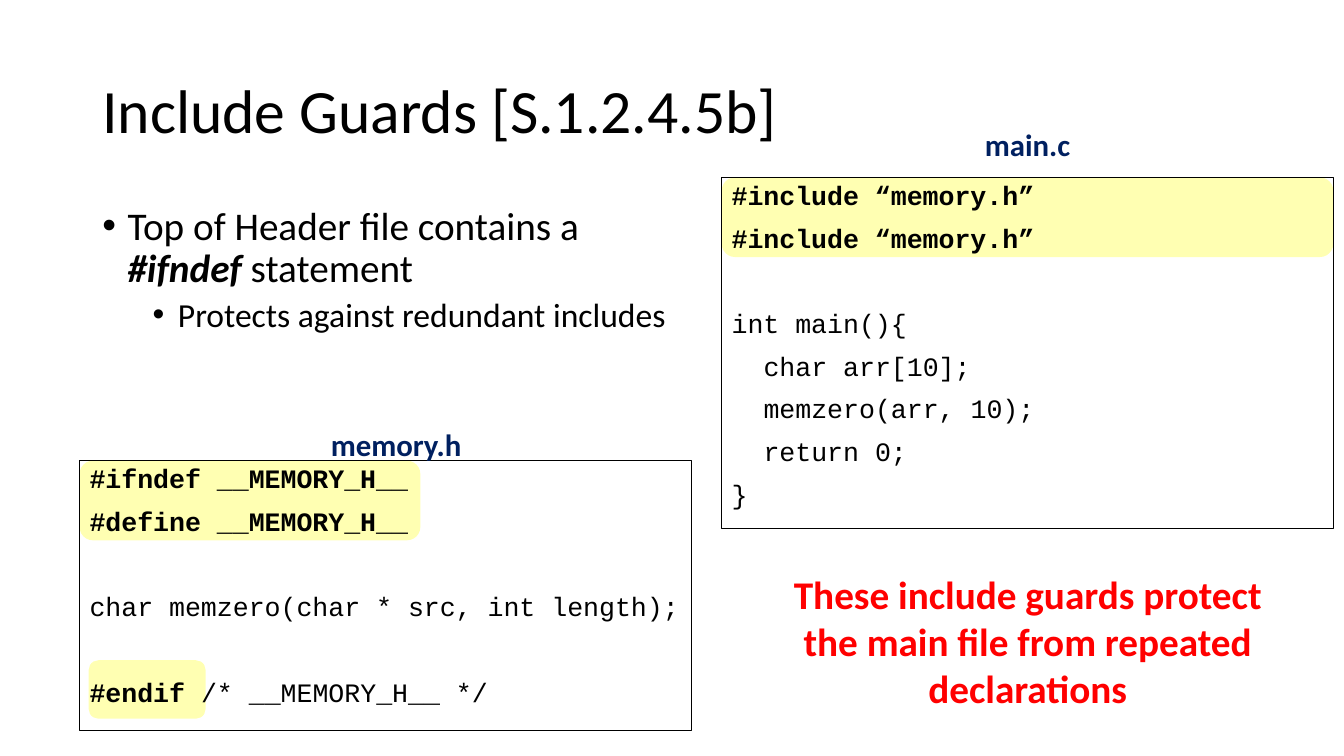
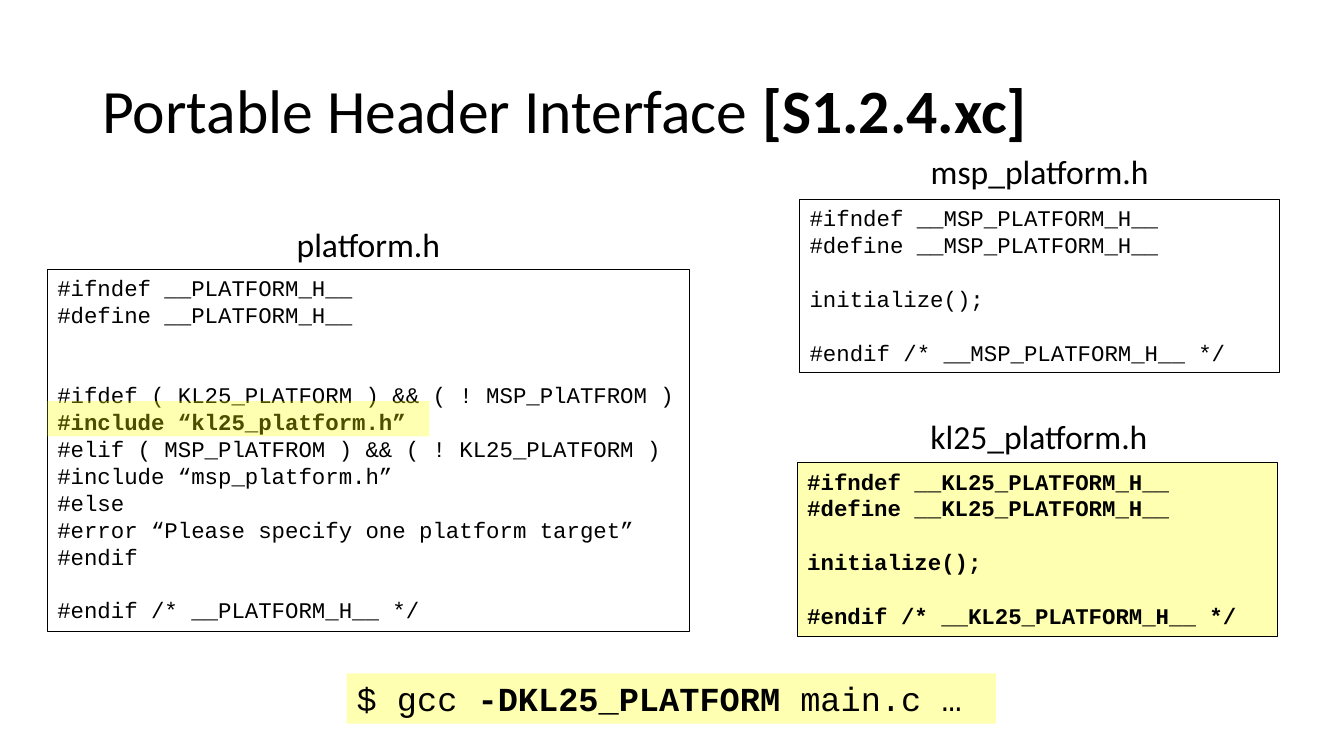
from dataclasses import dataclass

from lxml.etree import SubElement
from pptx import Presentation
from pptx.dml.color import RGBColor
from pptx.enum.shapes import MSO_SHAPE
from pptx.enum.text import MSO_ANCHOR, PP_ALIGN
from pptx.oxml.ns import qn
from pptx.util import Inches, Pt


@dataclass(frozen=True)
class Theme:
    ink: RGBColor = RGBColor(0, 0, 0)
    paper: RGBColor = RGBColor(255, 255, 255)
    navy: RGBColor = RGBColor(0x00, 0x20, 0x60)
    alert: RGBColor = RGBColor(255, 0, 0)
    marker: RGBColor = RGBColor(255, 255, 0)
    marker_opacity: int = 30
    text_font: str = "Calibri"
    code_font: str = "Courier New"
    title_size: int = 44
    body_sizes: tuple = (28, 24)
    body_gaps: tuple = (10, 5)
    callout_size: int = 28
    command_size: int = 24
    tight: float = 0.9
    outline: float = 0.75
    code_pitch: float = 1.2  # line height in ems
    code_advance: float = 0.6  # character width in ems


@dataclass(frozen=True)
class CodeStyle:
    size: int
    label_size: int
    label_color: RGBColor
    label_bold: bool = False
    spacing: float = 1.0
    gap: float = 0


THEME = Theme()
SPACIOUS = CodeStyle(19, 22, THEME.navy, True, THEME.tight, 10)
COMPACT = CodeStyle(16, 24, THEME.ink)


def bold(text):
    return text, "b"


class Deck:
    """Slides on a grid of 40 columns by 22.5 rows."""

    COLUMNS, ROWS = 40, 22.5

    def __init__(self, theme):
        self.theme = theme
        self.prs = Presentation()
        self.prs.slide_width, self.prs.slide_height = Inches(13.33), Inches(7.5)
        self.slide = None

    def frame(self, left, top, width, height):
        column = self.prs.slide_width / self.COLUMNS
        row = self.prs.slide_height / self.ROWS
        return (round(left * column), round(top * row),
                round(width * column), round(height * row))

    def new_slide(self, *title):
        self.slide = self.prs.slides.add_slide(self.prs.slide_layouts[6])
        heading = self.text_frame((2.75, 1.2, 34.5, 4.35))
        heading.vertical_anchor = MSO_ANCHOR.MIDDLE
        heading.paragraphs[0].line_spacing = self.theme.tight
        self.add_runs(heading.paragraphs[0], title, self.theme.title_size)

    def text_frame(self, place, wrap=True):
        text_frame = self.slide.shapes.add_textbox(*self.frame(*place)).text_frame
        text_frame.word_wrap = wrap
        return text_frame

    def add_runs(self, paragraph, parts, size, font=None, color=None):
        """Parts are plain strings or (text, flags) pairs; flags are b and i."""
        for part in parts:
            text, flags = (part, "") if isinstance(part, str) else part
            run = paragraph.add_run()
            run.text = text
            run.font.size = Pt(size)
            run.font.name = font or self.theme.text_font
            run.font.color.rgb = color or self.theme.ink
            run.font.bold = "b" in flags
            run.font.italic = "i" in flags

    def panel(self, place, fill=None, outlined=False, rounded=False):
        preset = MSO_SHAPE.ROUNDED_RECTANGLE if rounded else MSO_SHAPE.RECTANGLE
        panel = self.slide.shapes.add_shape(preset, *self.frame(*place))
        panel.shadow.inherit = False
        if fill is None:
            panel.fill.background()
        else:
            panel.fill.solid()
            panel.fill.fore_color.rgb = fill
            if fill == self.theme.marker:
                tint = panel.fill._xPr.find(qn("a:solidFill"))[0]
                SubElement(tint, qn("a:alpha"),
                           val=str(self.theme.marker_opacity * 1000))
        if outlined:
            panel.line.color.rgb = self.theme.ink
            panel.line.width = Pt(self.theme.outline)
        else:
            panel.line.fill.background()
        panel.text_frame.word_wrap = True
        panel.text_frame.vertical_anchor = MSO_ANCHOR.TOP
        return panel

    def highlight(self, place, rounded=False):
        self.panel(place, self.theme.marker, rounded=rounded)

    def code(self, label, place, lines, style, fill=None, shift=(0, 0)):
        """A labelled listing; None in lines leaves one line free."""
        listing = self.panel(place, fill, outlined=True).text_frame
        line_step = style.size * self.theme.code_pitch * style.spacing + style.gap
        paragraph, skipped = listing.paragraphs[0], 0
        for number, line in enumerate(lines):
            if line is None:
                skipped += 1
                continue
            if number:
                paragraph = listing.add_paragraph()
            paragraph.alignment = PP_ALIGN.LEFT
            paragraph.line_spacing = style.spacing
            paragraph.space_before = Pt(style.gap + skipped * line_step)
            skipped = 0
            parts = line if isinstance(line, list) else [line]
            if isinstance(parts[0], str):
                code = parts[0].lstrip()
                depth = len(parts[0]) - len(code)
                parts = [code, *parts[1:]]
                self.indent(paragraph, Pt(depth * style.size * self.theme.code_advance))
            self.add_runs(paragraph, parts, style.size, self.theme.code_font)

        # File name, centred above the listing
        left, top, width, _ = place
        height = style.label_size / 16
        name = self.text_frame((left + shift[0], top - height + shift[1],
                                width, height)).paragraphs[0]
        name.alignment = PP_ALIGN.CENTER
        self.add_runs(name, [(label, "b" if style.label_bold else "")],
                      style.label_size, color=style.label_color)

    @staticmethod
    def indent(paragraph, margin, hanging=0):
        properties = paragraph._p.get_or_add_pPr()
        properties.set("marL", str(int(margin)))
        properties.set("indent", str(-int(hanging)))
        return properties

    def bullets(self, place, items):
        body = self.text_frame(place)
        for number, (level, parts) in enumerate(items):
            paragraph = body.add_paragraph() if number else body.paragraphs[0]
            paragraph.line_spacing = self.theme.tight
            paragraph.space_before = Pt(self.theme.body_gaps[level])
            properties = self.indent(paragraph, Inches(0.25 + 0.5 * level), Inches(0.25))
            SubElement(properties, qn("a:buFont"), typeface="Arial")
            SubElement(properties, qn("a:buChar"), char="•")
            self.add_runs(paragraph, parts, self.theme.body_sizes[level])

    def callout(self, place, message):
        paragraph = self.text_frame(place).paragraphs[0]
        paragraph.alignment = PP_ALIGN.CENTER
        self.add_runs(paragraph, [bold(message)], self.theme.callout_size,
                      color=self.theme.alert)

    def command(self, place, *parts):
        paragraph = self.panel(place, self.theme.marker).text_frame.paragraphs[0]
        paragraph.alignment = PP_ALIGN.LEFT
        self.add_runs(paragraph, parts, self.theme.command_size, self.theme.code_font)


def guarded(macro, content, style=str):
    """A header file wrapped in its include guard."""
    return [style(f"#ifndef {macro}"), style(f"#define {macro}"), None,
            *content, None, style(f"#endif /* {macro} */")]


def include_guards(deck):
    deck.new_slide("Include Guards [S.1.2.4.5b]")
    deck.bullets((2.75, 6, 17.82, 6.18), [
        (0, ["Top of Header file contains a ", ("#ifndef ", "bi"), "statement"]),
        (1, ["Protects against redundant includes"]),
    ])

    # Highlights lie behind the unfilled listings
    header_left, header_top, main_left, main_top = 2.37, 13.71, 21.48, 5.28
    listing_width, two_lines = 18.2, 2.37
    deck.highlight((header_left, header_top, 10.14, two_lines), rounded=True)
    deck.highlight((2.64, 19.65, 3.48, 1.74), rounded=True)
    deck.highlight((main_left, main_top, listing_width, two_lines), rounded=True)

    deck.code("memory.h", (header_left, header_top, listing_width, 8.04), [
        bold("#ifndef __MEMORY_H__"),
        bold("#define __MEMORY_H__"),
        None,
        "char memzero(char * src, int length);",
        None,
        [bold("#endif "), "/* __MEMORY_H__ */"],
    ], SPACIOUS, shift=(0.32, 0.2))
    deck.code("main.c", (main_left, main_top, listing_width, 10.44), [
        *[bold("#include “memory.h”")] * 2,
        None,
        "int main(){",
        "  char arr[10];",
        "  memzero(arr, 10);",
        "  return 0;",
        "}",
    ], SPACIOUS, shift=(0, -0.3))
    deck.callout((22.62, 16.83, 15.93, 4.53),
                 "These include guards protect the main file from repeated declarations")


def portable_header(deck):
    deck.new_slide("Portable Header Interface ", bold("[S1.2.4.xc]"))
    paper, marker = deck.theme.paper, deck.theme.marker

    # The header that chooses a platform
    deck.code("platform.h", (1.41, 8.01, 19.11, 10.8), guarded("__PLATFORM_H__", [
        None,
        "#ifdef ( KL25_PLATFORM ) && ( ! MSP_PlATFROM )",
        bold("#include “kl25_platform.h”"),
        "#elif ( MSP_PlATFROM ) && ( ! KL25_PLATFORM )",
        "#include “msp_platform.h”",
        "#else",
        "#error “Please specify one platform target”",
        "#endif",
    ]), COMPACT, paper)

    # The platform headers
    deck.code("msp_platform.h", (23.8, 5.94, 14.28, 5.16),
              guarded("__MSP_PLATFORM_H__", ["initialize();"]),
              COMPACT, paper, (0, -0.09))
    deck.code("kl25_platform.h", (23.73, 13.77, 14.28, 5.16),
              guarded("__KL25_PLATFORM_H__", [bold("initialize();")], bold),
              COMPACT, marker, (0.05, -0.03))

    # The build command and the line it selects
    deck.command((10.32, 20.04, 19.32, 1.5),
                 "$ gcc ", bold("-DKL25_PLATFORM "), "main.c …")
    deck.highlight((1.41, 11.94, 11.37, 1.05))


def main():
    deck = Deck(THEME)
    include_guards(deck)
    portable_header(deck)
    deck.prs.save("out.pptx")


if __name__ == "__main__":
    main()
